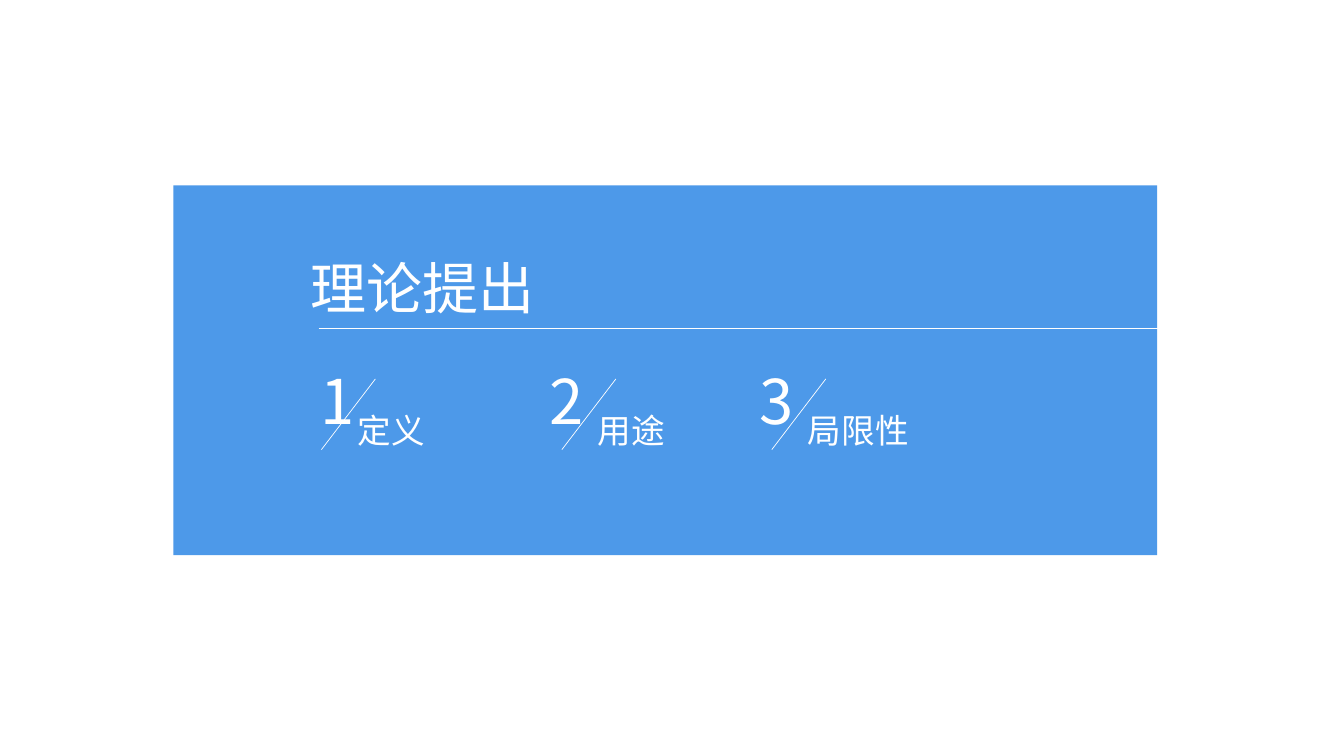
import lxml.etree
import pptx
import pptx.dml.color
import pptx.enum.shapes
import pptx.enum.text
import pptx.oxml.ns
import pptx.util

Cm = pptx.util.Cm
COLOURS = {"panel": "4D99E9", "ink": "FFFFFF"}
FONT = "Noto Sans CJK SC"


def colour(name):
    """Return the named colour."""
    return pptx.dml.color.RGBColor.from_string(COLOURS[name])


def write(shape, text, size):
    """Put one line of left-aligned text in a shape that grows with it."""
    frame = shape.text_frame
    frame.text = text
    frame.word_wrap = False
    frame.auto_size = pptx.enum.text.MSO_AUTO_SIZE.SHAPE_TO_FIT_TEXT
    frame.vertical_anchor = pptx.enum.text.MSO_ANCHOR.TOP
    paragraph = frame.paragraphs[0]
    paragraph.alignment = pptx.enum.text.PP_ALIGN.LEFT
    font = paragraph.runs[0].font
    font.size = pptx.util.Pt(size)
    font.color.rgb = colour("ink")
    font.name = FONT
    properties = paragraph.runs[0].font.fill and paragraph.runs[0]
    run_properties = frame.paragraphs[0].runs[0].font
    latin = shape.element.find(".//" + pptx.oxml.ns.qn("a:latin"))
    east_asian = lxml.etree.Element(pptx.oxml.ns.qn("a:ea"), typeface=FONT)
    latin.addnext(east_asian)


def add_line(shapes, start_x, start_y, end_x, end_y):
    """Draw a thin straight line without shadow."""
    line = shapes.add_connector(
        pptx.enum.shapes.MSO_CONNECTOR.STRAIGHT,
        Cm(start_x), Cm(start_y), Cm(end_x), Cm(end_y))
    line.line.color.rgb = colour("ink")
    line.line.width = pptx.util.Pt(0.5)
    properties = line.element.find(pptx.oxml.ns.qn("p:spPr"))
    lxml.etree.SubElement(properties, pptx.oxml.ns.qn("a:effectLst"))


def add_heading(slide, left, top, width, height, text):
    """Place the coloured panel, the title on it and the rule below."""
    panel = slide.shapes.add_shape(
        pptx.enum.shapes.MSO_SHAPE.RECTANGLE,
        Cm(left), Cm(top), Cm(width), Cm(height))
    panel.shadow.inherit = False
    panel.fill.solid()
    panel.fill.fore_color.rgb = colour("panel")
    panel.line.fill.background()
    title = slide.shapes.title
    title.element.addprevious(panel.element)
    title.left, title.top = Cm(left + 3.2), Cm(top + 1.6)
    title.width, title.height = Cm(6.22), Cm(1.96)
    write(title, text, 40)
    rule_y = top + 3.61
    add_line(slide.shapes, left + 3.66, rule_y, left + 26.24, rule_y)


def add_entry(slide, left, top, number_offset, number, label):
    """Group a number, a slash starting at left, and a label."""
    shapes = slide.shapes.add_group_shape().shapes
    number_box = shapes.add_textbox(
        Cm(left + number_offset), Cm(top), Cm(1.42), Cm(2.13))
    write(number_box, str(number), 44)
    add_line(shapes, left + 1.36, top + 0.53, left, top + 2.31)
    label_box = shapes.add_textbox(
        Cm(left + 0.66), Cm(top + 1.19), Cm(0.53 + 0.85 * len(label)), Cm(1.27))
    write(label_box, label, 24)


def build_section_slide(presentation):
    """Build the section slide with its heading and numbered entries."""
    slide = presentation.slides.add_slide(presentation.slide_layouts[5])
    left, top = 4.37, 4.67
    add_heading(slide, left, top, 24.79, 9.32, "理论提出")
    entries = [(3.73, -0.28, "定义"), (9.79, -0.57, "用途"), (15.08, -0.57, "局限性")]
    for number, (offset, number_offset, label) in enumerate(entries, 1):
        add_entry(slide, left + offset, top + 4.35, number_offset, number, label)


presentation = pptx.Presentation()
presentation.slide_width = Cm(33.87)
presentation.slide_height = Cm(19.05)
build_section_slide(presentation)
presentation.save("out.pptx")
